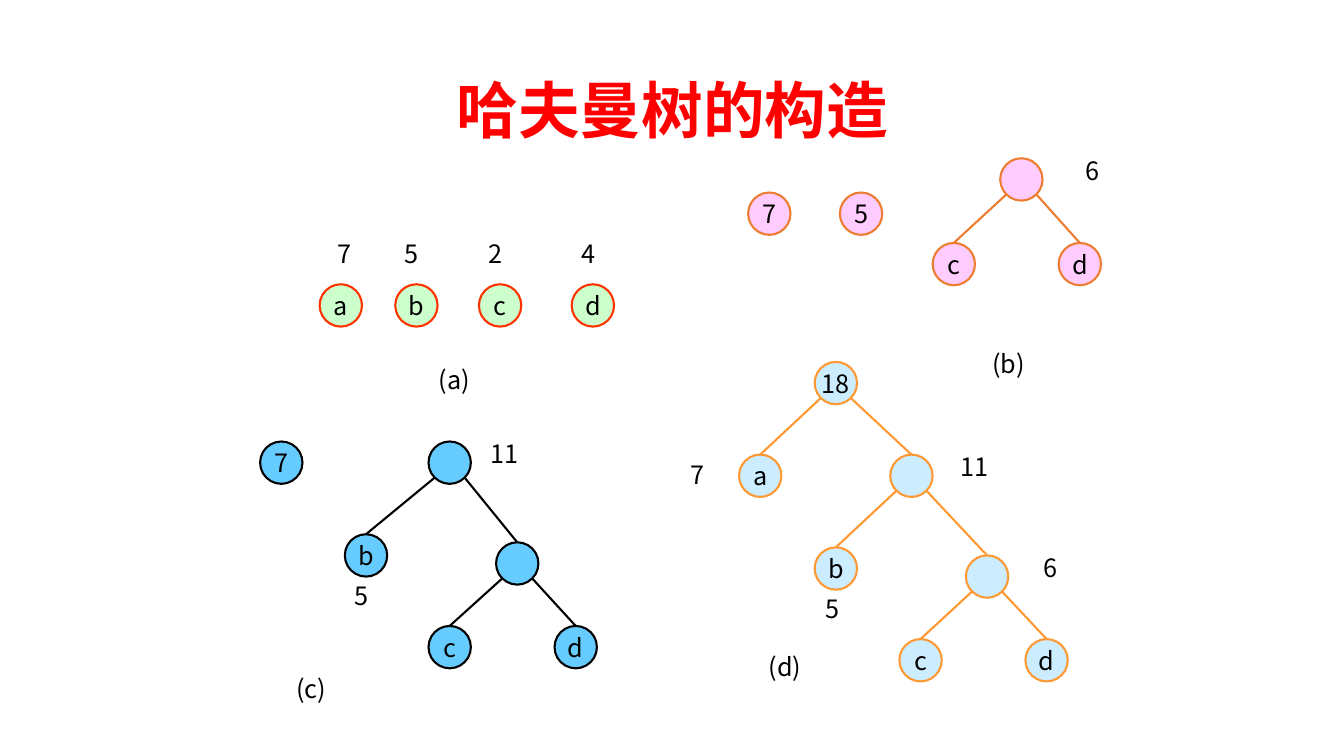
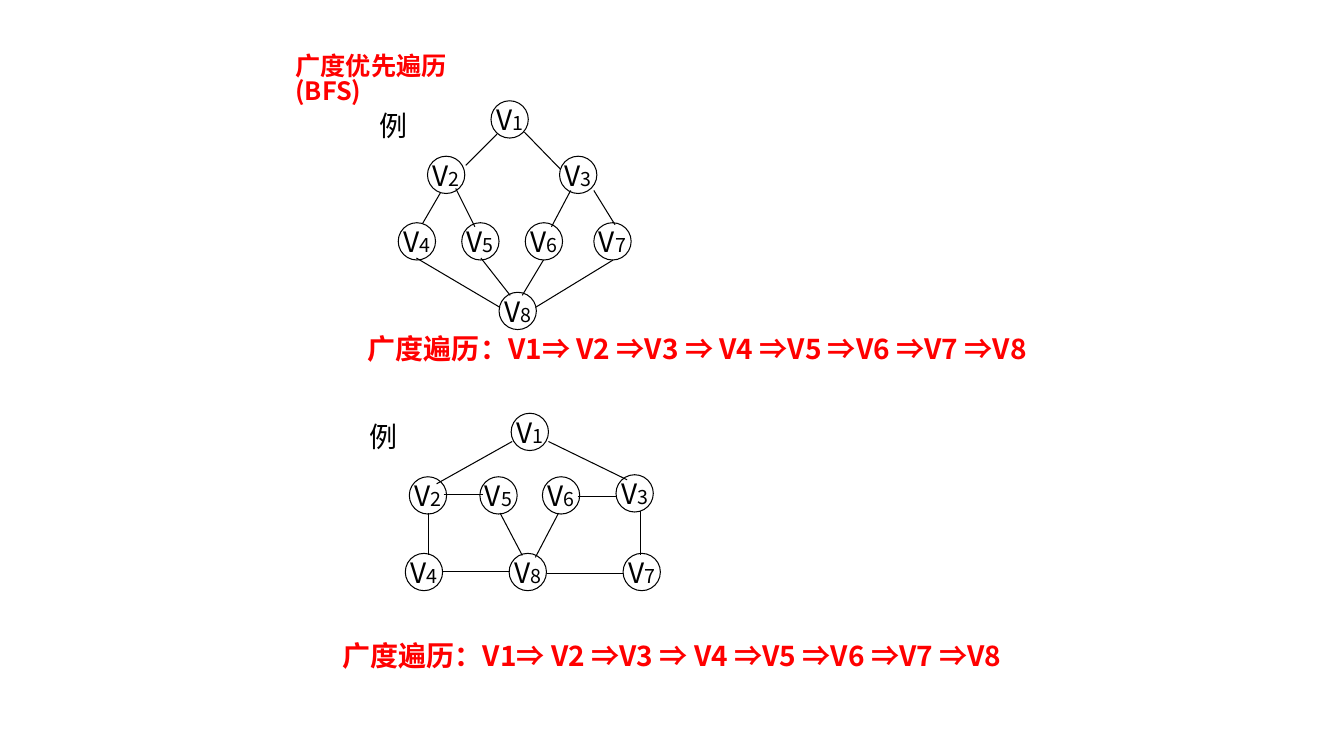
import dataclasses

import lxml.etree
import pptx
import pptx.dml.color
import pptx.enum.shapes
import pptx.enum.text
import pptx.oxml.ns
import pptx.util

Inches = pptx.util.Inches
Align = pptx.enum.text.PP_ALIGN
Anchor = pptx.enum.text.MSO_ANCHOR


@dataclasses.dataclass(frozen=True)
class Theme:
    black: str = "000000"
    red: str = "FF0000"
    font: str = "Noto Sans CJK SC"
    head_font: str = "Noto Sans CJK JP"
    head: int = 44
    label: int = 18
    vertex: int = 20
    index: int = 14
    thick: float = 1.5
    thin: float = 0.75
    node: float = 0.42      # diameter of a tree node
    ring: float = 0.37      # diameter of a graph vertex


THEME = Theme()

# Each panel: fill, line, nodes (left, top, text), edges (parent, child),
# labels (left, top, text).
PANELS = [
    ("CCFFCC", "FF3300",
     [(3.17, 2.82, "a"), (3.92, 2.82, "b"), (4.75, 2.82, "c"),
      (5.67, 2.82, "d")],
     [],
     [(3.08, 2.32, "7"), (3.75, 2.32, "5"), (4.58, 2.32, "2"),
      (5.5, 2.32, "4"), (4.17, 3.57, "(a)")]),
    ("FFCCFF", "ED7D31",
     [(7.42, 1.91, "7"), (8.33, 1.91, "5"), (9.92, 1.57, ""),
      (9.25, 2.41, "c"), (10.5, 2.41, "d")],
     [(2, 3), (2, 4)],
     [(10.5, 1.49, "6"), (9.67, 3.41, "(b)")]),
    ("66CCFF", THEME.black,
     [(2.58, 4.38, "7"), (4.25, 4.38, ""), (3.42, 5.3, "b"),
      (4.92, 5.38, ""), (4.25, 6.21, "c"), (5.5, 6.21, "d")],
     [(1, 2), (1, 3), (3, 4), (3, 5)],
     [(4.67, 4.3, "11"), (3.25, 5.71, "5"), (2.75, 6.63, "(c)")]),
    ("CCECFF", "FF9933",
     [(8.08, 3.59, "18"), (7.33, 4.51, "a"), (8.83, 4.51, ""),
      (8.08, 5.43, "b"), (9.58, 5.51, ""), (8.92, 6.34, "c"),
      (10.17, 6.34, "d")],
     [(0, 1), (0, 2), (2, 3), (2, 4), (4, 5), (4, 6)],
     [(6.58, 4.51, "7"), (9.33, 4.43, "11"), (7.92, 5.84, "5"),
      (10.08, 5.43, "6"), (7.45, 6.41, "(d)")]),
]

# Each graph: place of the tag, place of the order, vertices V1 to V8,
# edges (start x, start y, end x, end y).
GRAPHS = [
    ((3.66, 1.03), (3.55, 3.24),
     [(4.87, 1), (4.24, 1.55), (5.55, 1.55), (3.95, 2.21),
      (4.58, 2.21), (5.21, 2.21), (5.89, 2.21), (4.95, 2.9)],
     [(4.93, 1.33, 4.62, 1.64), (5.2, 1.31, 5.56, 1.68),
      (4.37, 1.91, 4.19, 2.22), (4.52, 1.87, 4.71, 2.25),
      (5.66, 1.89, 5.47, 2.25), (5.89, 1.89, 6.1, 2.23),
      (4.77, 2.56, 5.06, 2.93), (5.39, 2.58, 5.18, 2.93),
      (4.13, 2.56, 4.96, 3.05), (6.08, 2.58, 5.31, 3.05)]),
    ((3.56, 4.11), (3.3, 6.29),
     [(5.07, 4.1), (4.06, 4.73), (6.11, 4.71), (4.02, 5.49),
      (4.76, 4.73), (5.38, 4.73), (6.18, 5.49), (5.05, 5.49)],
     [(5.08, 4.38, 4.33, 4.8), (5.44, 4.38, 6.22, 4.76),
      (4.4, 4.91, 4.79, 4.91), (5.73, 4.93, 6.12, 4.93),
      (4.25, 5.09, 4.25, 5.51), (4.38, 5.67, 5.06, 5.67),
      (5.43, 5.69, 6.18, 5.69), (6.35, 5.07, 6.35, 5.51),
      (4.96, 5.09, 5.18, 5.51), (5.54, 5.09, 5.31, 5.53)]),
]
ORDER = "广度遍历：V1⇒ V2 ⇒V3 ⇒ V4 ⇒V5 ⇒V6 ⇒V7 ⇒V8"


def paint(code):
    return pptx.dml.color.RGBColor.from_string(code)


def style(run, size, color=THEME.black, bold=False, font=THEME.font):
    run.font.size = pptx.util.Pt(size)
    run.font.bold = bold
    run.font.color.rgb = paint(color)
    run.font.name = font
    props = run.font._element
    east = lxml.etree.SubElement(props, pptx.oxml.ns.qn("a:ea"))
    east.set("typeface", font)


def add_title(slide, text, box, size, font, align, anchor, space):
    title = slide.shapes.title
    title.left, title.top, title.width, title.height = map(Inches, box)
    frame = title.text_frame
    frame.text = text
    frame.word_wrap = True
    frame.auto_size = pptx.enum.text.MSO_AUTO_SIZE.NONE
    frame.vertical_anchor = anchor
    para = frame.paragraphs[0]
    para.alignment = align
    para.line_spacing = space
    style(para.runs[0], size, THEME.red, True, font)


def add_text(slide, text, box, size, align=Align.CENTER, wrap=True,
             color=THEME.black, bold=False):
    frame = slide.shapes.add_textbox(*map(Inches, box)).text_frame
    frame.word_wrap = wrap
    frame.text = text
    para = frame.paragraphs[0]
    para.alignment = align
    style(para.runs[0], size, color, bold)


def add_disc(slide, x, y, size, parts, line, width, fill=None):
    """Draw a circle; parts holds (text, type size) for each run."""
    disc = slide.shapes.add_shape(
        pptx.enum.shapes.MSO_SHAPE.OVAL, *map(Inches, (x, y, size, size)))
    disc.shadow.inherit = False
    if fill:
        disc.fill.solid()
        disc.fill.fore_color.rgb = paint(fill)
    else:
        disc.fill.background()
    disc.line.color.rgb = paint(line)
    disc.line.width = pptx.util.Pt(width)
    frame = disc.text_frame
    frame.word_wrap = False
    frame.vertical_anchor = Anchor.MIDDLE
    para = frame.paragraphs[0]
    para.alignment = Align.CENTER
    for text, points in parts:
        run = para.add_run()
        run.text = text
        style(run, points)


def add_line(slide, ends, color, width):
    line = slide.shapes.add_connector(
        pptx.enum.shapes.MSO_CONNECTOR.STRAIGHT, *map(Inches, ends))
    line.line.color.rgb = paint(color)
    line.line.width = pptx.util.Pt(width)
    lxml.etree.SubElement(line._element.spPr,
                          pptx.oxml.ns.qn("a:effectLst"))


def branch(parent, child):
    """Ends of the line from a parent's lower side to a child's top."""
    half = THEME.node / 2
    slant = half * 0.5 ** 0.5
    side = 1 if child[0] > parent[0] else -1
    return (parent[0] + half + side * slant, parent[1] + half + slant,
            child[0] + half, child[1])


def add_panel(slide, fill, line, nodes, edges, labels):
    for start, end in edges:
        add_line(slide, branch(nodes[start], nodes[end]), line, THEME.thick)
    for x, y, text in nodes:
        parts = [(text, THEME.label)] if text else []
        add_disc(slide, x, y, THEME.node, parts, line, THEME.thick, fill)
    for x, y, text in labels:
        add_text(slide, text, (x, y, 0.67, 0.4), THEME.label)


def add_graph(slide, tag, order, spots, edges):
    add_text(slide, "例", (*tag, 0.48, 0.43), THEME.vertex, wrap=False)
    for number, (x, y) in enumerate(spots, 1):
        parts = [("V", THEME.vertex), (str(number), THEME.index)]
        add_disc(slide, x, y, THEME.ring, parts, THEME.black, THEME.thin)
    for ends in edges:
        add_line(slide, ends, THEME.black, THEME.thin)
    add_text(slide, ORDER, (*order, 6.96, 0.44), THEME.vertex,
             Align.LEFT, False, THEME.red, True)


def main():
    deck = pptx.Presentation()
    deck.slide_width, deck.slide_height = Inches(13.33), Inches(7.5)
    layout = deck.slide_layouts.get_by_name("Title Only")

    trees = deck.slides.add_slide(layout)
    add_title(trees, "哈夫曼树的构造", (0.92, 0.4, 11.5, 1.45), THEME.head,
              THEME.head_font, Align.CENTER, Anchor.MIDDLE, 0.9)
    for panel in PANELS:
        add_panel(trees, *panel)

    search = deck.slides.add_slide(layout)
    add_title(search, "广度优先遍历(BFS)", (2.83, 0.5, 2, 0.7), THEME.label,
              THEME.font, Align.LEFT, Anchor.TOP, 0.82)
    for graph in GRAPHS:
        add_graph(search, *graph)

    deck.save("out.pptx")


if __name__ == "__main__":
    main()
